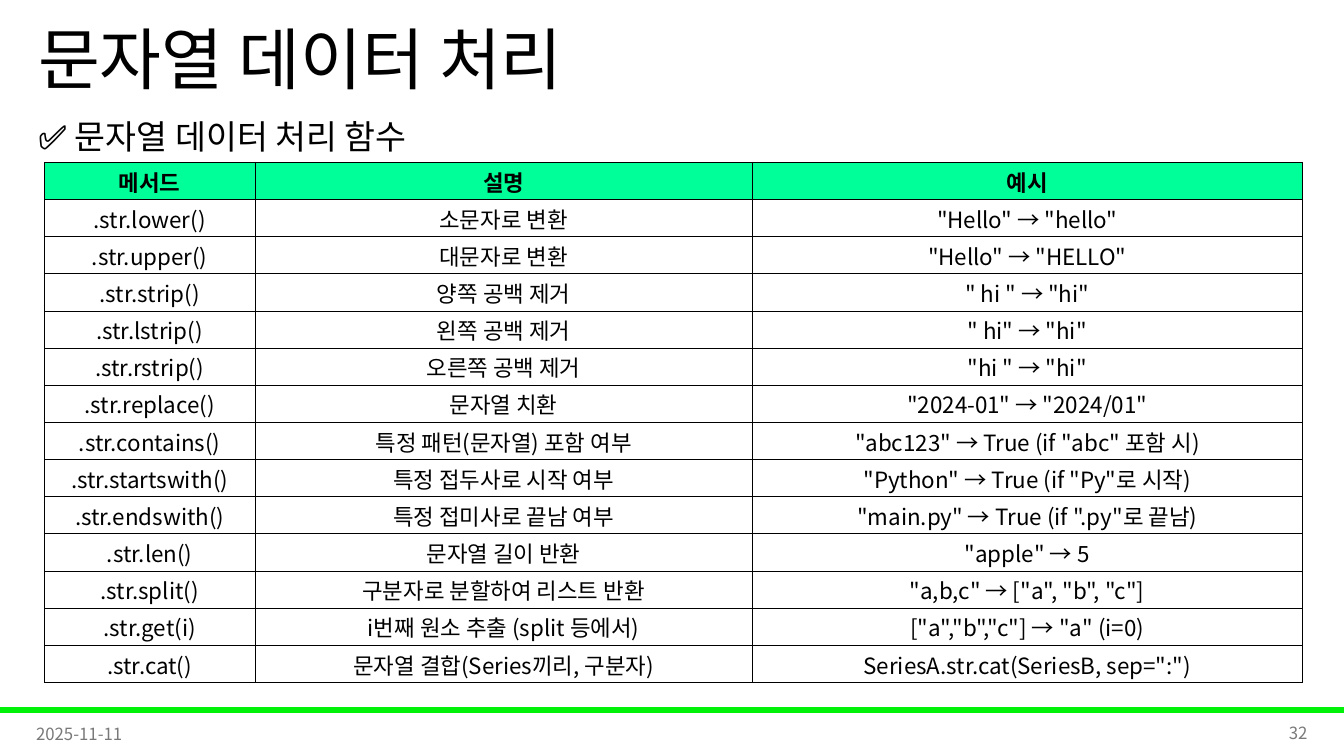
from dataclasses import dataclass
from typing import Any

from lxml.etree import SubElement
from pptx import Presentation
from pptx.dml.color import RGBColor
from pptx.enum.shapes import MSO_SHAPE
from pptx.enum.text import MSO_ANCHOR, PP_ALIGN
from pptx.oxml.ns import qn
from pptx.util import Emu, Inches, Pt

FONT = "Noto Sans CJK KR"
COLOURS = {
    "text": "000000",
    "footer": "797979",
    "bar": "00F209",
    "header": "00FF99",
    "border": "000000",
}
SLIDE_WIDTH, SLIDE_HEIGHT = Inches(13.333), Inches(7.5)


@dataclass(frozen=True)
class Area:
    """A rectangle in percent of the slide's width and height."""

    left: float
    top: float
    width: float
    height: float

    def lengths(self) -> tuple[Emu, Emu, Emu, Emu]:
        return (across(self.left), down(self.top), across(self.width), down(self.height))


@dataclass(frozen=True)
class Label:
    text: str
    area: Area
    size: int
    colour: str = "text"
    align: PP_ALIGN = PP_ALIGN.LEFT
    anchor: MSO_ANCHOR = MSO_ANCHOR.MIDDLE
    wrap: bool = True
    line_spacing: float = 1.0


BAR = Area(0, 93.6, 100, 0.67)
TABLE = Area(3.3, 21.47, 93.61, 68.8)
COLUMN_SHARES = (15.68, 36.98, 40.95)

LABELS = (
    Label("문자열 데이터 처리", Area(2.1, 0, 86.25, 16.67), 48, line_spacing=0.9),
    Label("2025-11-11", Area(1.95, 94.4, 22.5, 5.33), 12, "footer"),
    Label("32", Area(75.53, 94.27, 22.5, 5.33), 12, "footer", PP_ALIGN.RIGHT),
    Label("✅ 문자열 데이터 처리 함수", Area(2.1, 14.67, 29.48, 6.67), 24,
          anchor=MSO_ANCHOR.TOP, wrap=False),
)

METHOD_ROWS = (
    ("메서드", "설명", "예시"),
    (".str.lower()", "소문자로 변환", '"Hello" → "hello"'),
    (".str.upper()", "대문자로 변환", '"Hello" → "HELLO"'),
    (".str.strip()", "양쪽 공백 제거", '" hi " → "hi"'),
    (".str.lstrip()", "왼쪽 공백 제거", '" hi" → "hi"'),
    (".str.rstrip()", "오른쪽 공백 제거", '"hi " → "hi"'),
    (".str.replace()", "문자열 치환", '"2024-01" → "2024/01"'),
    (".str.contains()", "특정 패턴(문자열) 포함 여부", '"abc123" → True (if "abc" 포함 시)'),
    (".str.startswith()", "특정 접두사로 시작 여부", '"Python" → True (if "Py"로 시작)'),
    (".str.endswith()", "특정 접미사로 끝남 여부", '"main.py" → True (if ".py"로 끝남)'),
    (".str.len()", "문자열 길이 반환", '"apple" → 5'),
    (".str.split()", "구분자로 분할하여 리스트 반환", '"a,b,c" → ["a", "b", "c"]'),
    (".str.get(i)", "i번째 원소 추출 (split 등에서)", '["a","b","c"] → "a" (i=0)'),
    (".str.cat()", "문자열 결합(Series끼리, 구분자)", 'SeriesA.str.cat(SeriesB, sep=":")'),
)


def across(percent: float) -> Emu:
    return Emu(round(SLIDE_WIDTH * percent / 100))


def down(percent: float) -> Emu:
    return Emu(round(SLIDE_HEIGHT * percent / 100))


def colour_of(name: str) -> RGBColor:
    return RGBColor.from_string(COLOURS[name])


def set_attributes(target: Any, values: dict[str, Any]) -> None:
    for name, value in values.items():
        setattr(target, name, value)


def write_text(para: Any, text: str, size: int, colour: str,
               align: PP_ALIGN, bold: bool = False) -> None:
    para.alignment = align
    span = para.add_run()
    span.text = text
    set_attributes(span.font, {"name": FONT, "size": Pt(size), "bold": bold})
    span.font.color.rgb = colour_of(colour)
    latin = span.font._element.find(qn("a:latin"))
    east_asian = SubElement(span.font._element, qn("a:ea"), typeface=FONT)
    latin.addnext(east_asian)


def add_label(page: Any, label: Label) -> None:
    box = page.shapes.add_textbox(*label.area.lengths())
    frame = box.text_frame
    set_attributes(frame, {"word_wrap": label.wrap, "vertical_anchor": label.anchor})
    para = frame.paragraphs[0]
    para.line_spacing = label.line_spacing
    write_text(para, label.text, label.size, label.colour, label.align)


def add_bar(page: Any) -> None:
    bar = page.shapes.add_shape(MSO_SHAPE.RECTANGLE, *BAR.lengths())
    bar.shadow.inherit = False
    bar.fill.solid()
    bar.fill.fore_color.rgb = colour_of("bar")
    bar.line.color.rgb = colour_of("bar")
    bar.line.width = Pt(1)


def add_borders(cell: Any) -> None:
    properties = cell._tc.get_or_add_tcPr()
    for position, side in enumerate(("lnL", "lnR", "lnT", "lnB")):
        line = SubElement(properties, qn(f"a:{side}"), w=str(Pt(0.5)))
        fill = SubElement(line, qn("a:solidFill"))
        SubElement(fill, qn("a:srgbClr"), val=COLOURS["border"])
        properties.insert(position, line)


def add_method_table(page: Any) -> None:
    table = page.shapes.add_table(
        len(METHOD_ROWS), len(COLUMN_SHARES), *TABLE.lengths()).table
    table.horz_banding = False
    for column, share in zip(table.columns, COLUMN_SHARES):
        column.width = across(share)
    cell_format = {
        "vertical_anchor": MSO_ANCHOR.MIDDLE,
        "margin_left": Inches(0.01),
        "margin_right": Inches(0.01),
        "margin_top": Inches(0.01),
        "margin_bottom": 0,
    }
    for row_index, (row, texts) in enumerate(zip(table.rows, METHOD_ROWS)):
        row.height = down(TABLE.height / len(METHOD_ROWS))
        is_header = row_index == 0
        for cell, text in zip(row.cells, texts):
            set_attributes(cell, cell_format)
            if is_header:
                cell.fill.solid()
                cell.fill.fore_color.rgb = colour_of("header")
            else:
                cell.fill.background()
            add_borders(cell)
            write_text(cell.text_frame.paragraphs[0], text, 16, "text",
                       PP_ALIGN.CENTER, is_header)


def main() -> None:
    deck = Presentation()
    set_attributes(deck, {"slide_width": SLIDE_WIDTH, "slide_height": SLIDE_HEIGHT})
    page = deck.slides.add_slide(deck.slide_layouts[6])
    add_bar(page)
    for label in LABELS:
        add_label(page, label)
    add_method_table(page)
    deck.save("out.pptx")


if __name__ == "__main__":
    main()
